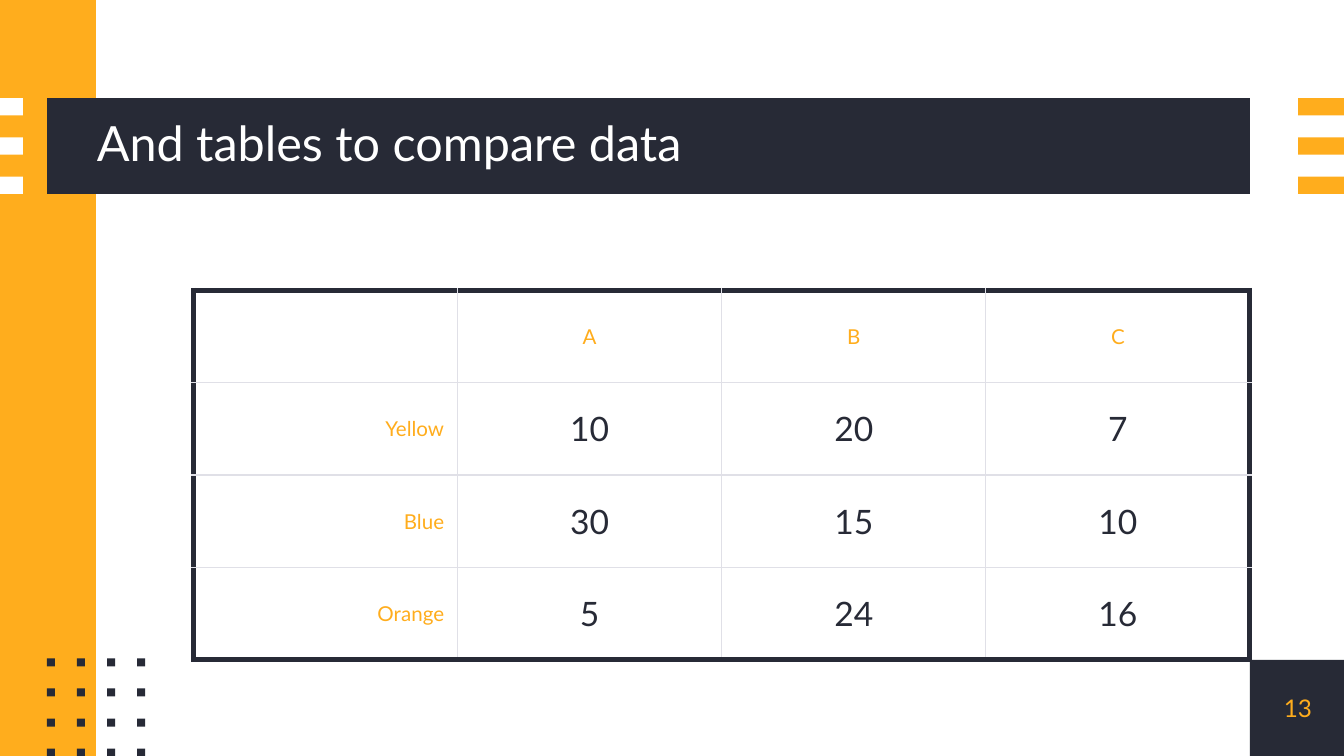
from itertools import product

from lxml.etree import SubElement
from pptx import Presentation
from pptx.dml.color import RGBColor
from pptx.enum.shapes import MSO_SHAPE as Shape
from pptx.enum.text import MSO_ANCHOR as Anchor, MSO_AUTO_SIZE as AutoSize, PP_ALIGN as Align
from pptx.oxml.ns import qn
from pptx.util import Inches, Pt

DARK = RGBColor(0x27, 0x2A, 0x36)
AMBER = RGBColor(0xFF, 0xAD, 0x1D)
WHITE = RGBColor(0xFF, 0xFF, 0xFF)
PALE = RGBColor(0xE0, 0xE0, 0xE7)
FONT = "Lato"

WIDTH = 10
HEIGHT = WIDTH * 9 / 16
BAND = WIDTH / 14
BAR_LEFT, BAR_TOP, BAR_WIDTH = 0.35, 0.73, 8.95
CORNER = (BAR_LEFT + BAR_WIDTH, HEIGHT - BAND, BAND, BAND)
STRIPE_HEIGHT = 0.13
STRIPE_STEP = (BAND - STRIPE_HEIGHT) / 2
DOT_SIZE, DOT_STEP, DOT_TOP = 0.06, 0.67 / 3, 4.9
TABLE_LEFT, TABLE_TOP, TABLE_WIDTH, TABLE_HEIGHT = 1.44, 2.16, 7.86, 2.75

ROWS = [
    ["", "A", "B", "C"],
    ["Yellow", "10", "20", "7"],
    ["Blue", "30", "15", "10"],
    ["Orange", "5", "24", "16"],
]


def add_block(page, left, top, width, height, color):
    block = page.shapes.add_shape(
        Shape.RECTANGLE, Inches(left), Inches(top), Inches(width), Inches(height))
    block.shadow.inherit = False
    block.fill.solid()
    block.fill.fore_color.rgb = color
    block.line.fill.background()


def add_stripes(page, left, width, color):
    for row in range(3):
        add_block(page, left, BAR_TOP + row * STRIPE_STEP, width, STRIPE_HEIGHT, color)


def add_dots(page):
    for row, column in product(range(4), repeat=2):
        add_block(page, BAR_LEFT + column * DOT_STEP, DOT_TOP + row * DOT_STEP,
                  DOT_SIZE, DOT_SIZE, DARK)


def style_para(para, size, color, align):
    para.alignment = align
    para.font.name = FONT
    para.font.size = Pt(size)
    para.font.bold = False
    para.font.color.rgb = color


def write_text(box, text, size, color, align):
    frame = box.text_frame
    frame.word_wrap = True
    frame.auto_size = AutoSize.NONE
    frame.vertical_anchor = Anchor.MIDDLE
    frame.margin_left = frame.margin_right = frame.margin_top = frame.margin_bottom = 0
    para = frame.paragraphs[0]
    para.text = text
    style_para(para, size, color, align)
    return para


def set_title(page, text):
    title = page.shapes.title
    title.left, title.top = Inches(0.72), Inches(BAR_TOP)
    title.width, title.height = Inches(8.58), Inches(BAND)
    para = write_text(title, text, 26, WHITE, Align.LEFT)
    para.line_spacing = 0.9
    title.element.getparent().append(title.element)


def add_page_number(page, number):
    box = page.shapes.add_textbox(*map(Inches, CORNER))
    write_text(box, number, 13, AMBER, Align.CENTER)


def set_borders(cell, outer_sides):
    properties = cell._tc.get_or_add_tcPr()
    for side, is_outer in outer_sides.items():
        line = SubElement(properties, qn(f"a:ln{side}"), w=str(Pt(3 if is_outer else 0.75)))
        fill = SubElement(line, qn("a:solidFill"))
        SubElement(fill, qn("a:srgbClr"), val=str(DARK if is_outer else PALE))


def format_cell(cell, text, row, column):
    last_row, last_column = len(ROWS) - 1, len(ROWS[0]) - 1
    set_borders(cell, {"L": column == 0, "R": column == last_column,
                       "T": row == 0, "B": row == last_row})
    cell.fill.background()
    cell.vertical_anchor = Anchor.MIDDLE
    cell.margin_left = cell.margin_right = Inches(0.1)
    cell.margin_top = cell.margin_bottom = Inches(0.07)
    is_label = row == 0 or column == 0
    para = cell.text_frame.paragraphs[0]
    para.text = text
    style_para(para, 11 if is_label else 18, AMBER if is_label else DARK,
               Align.RIGHT if column == 0 else Align.CENTER)


def add_data_table(page):
    row_count, column_count = len(ROWS), len(ROWS[0])
    table = page.shapes.add_table(
        row_count, column_count, Inches(TABLE_LEFT), Inches(TABLE_TOP),
        Inches(TABLE_WIDTH), Inches(TABLE_HEIGHT)).table
    table.first_row = table.horz_banding = False
    for row, column in product(range(row_count), range(column_count)):
        format_cell(table.cell(row, column), ROWS[row][column], row, column)


def main():
    deck = Presentation()
    deck.slide_width, deck.slide_height = Inches(WIDTH), Inches(HEIGHT)
    page = deck.slides.add_slide(deck.slide_layouts[5])
    add_block(page, *CORNER, DARK)
    add_block(page, 0, 0, BAND, HEIGHT, AMBER)
    add_block(page, BAR_LEFT, BAR_TOP, BAR_WIDTH, BAND, DARK)
    add_stripes(page, 0, 0.17, WHITE)
    add_dots(page)
    add_stripes(page, 9.66, 0.34, AMBER)
    set_title(page, "And tables to compare data")
    add_data_table(page)
    add_page_number(page, "13")
    deck.save("out.pptx")


if __name__ == "__main__":
    main()
